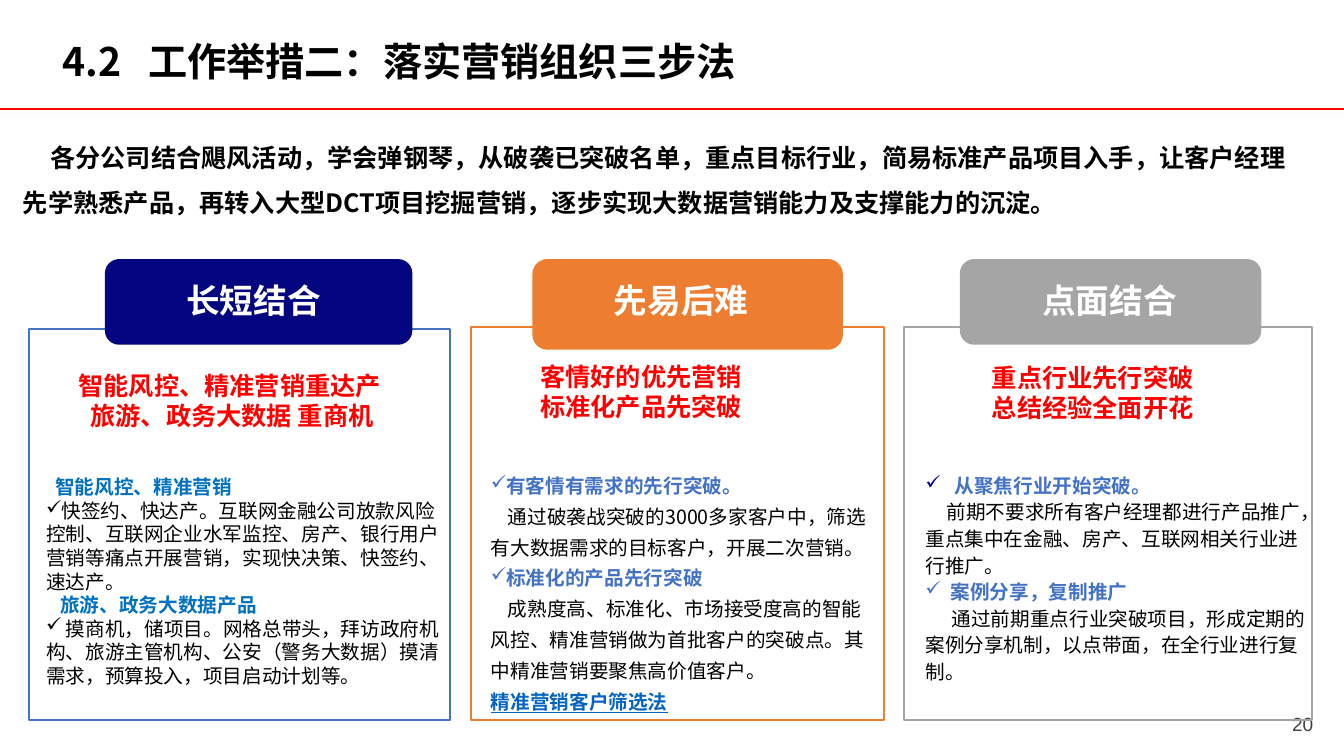
from lxml import etree
from pptx import Presentation
from pptx.dml.color import RGBColor
from pptx.enum.shapes import MSO_CONNECTOR, MSO_SHAPE
from pptx.enum.text import MSO_ANCHOR, PP_ALIGN
from pptx.oxml.ns import qn
from pptx.util import Inches, Pt

FONT = "Noto Sans CJK SC"
BLACK = RGBColor(0x00, 0x00, 0x00)
WHITE = RGBColor(0xFF, 0xFF, 0xFF)
RED = RGBColor(0xFF, 0x00, 0x00)
NAVY = RGBColor(0x03, 0x06, 0x7F)
BLUE = RGBColor(0x44, 0x72, 0xC4)
SKY = RGBColor(0x00, 0x70, 0xC0)
LINK = RGBColor(0x05, 0x63, 0xC1)
ORANGE = RGBColor(0xED, 0x7D, 0x31)
GREY = RGBColor(0xA5, 0xA5, 0xA5)
DARK = RGBColor(0x40, 0x40, 0x40)


def style(p, size, color, bold=True, font=FONT):
    for r in p.runs:
        r.font.size = Pt(size)
        r.font.bold = bold
        r.font.name = font
        r.font.color.rgb = color
        ea = etree.SubElement(r.font._element, qn("a:ea"))
        ea.set("typeface", font)


def set_indent(p, left, first):
    pPr = p._p.get_or_add_pPr()
    pPr.set("marL", str(Inches(left)))
    pPr.set("indent", str(Inches(first)))


def add_bullet(p, color):
    pPr = p._p.get_or_add_pPr()
    clr = etree.SubElement(pPr, qn("a:buClr"))
    etree.SubElement(clr, qn("a:srgbClr")).set("val", str(color))
    etree.SubElement(pPr, qn("a:buChar")).set("char", "✓")


def add_tab(p, pos):
    tabs = etree.SubElement(p._p.get_or_add_pPr(), qn("a:tabLst"))
    tab = etree.SubElement(tabs, qn("a:tab"))
    tab.set("pos", str(Inches(pos)))
    tab.set("algn", "l")


def add_text_box(slide, box, margin_top=0.08):
    tf = slide.shapes.add_textbox(*map(Inches, box)).text_frame
    tf.word_wrap = True
    tf.margin_top = Inches(margin_top)
    return tf


def paragraphs(tf, count):
    return [tf.paragraphs[0]] + [tf.add_paragraph() for _ in range(count - 1)]


def add_header(slide, box):
    left, top, width, height = box
    # Title
    sp = slide.shapes.title
    sp.left, sp.top = Inches(left + 0.52), Inches(top + 0.29)
    sp.width, sp.height = Inches(7.2), Inches(0.57)
    tf = sp.text_frame
    tf.word_wrap = True
    tf.vertical_anchor = MSO_ANCHOR.TOP
    tf.margin_top = Inches(0.08)
    tf.text = "4.2\t工作举措二：落实营销组织三步法"
    p = tf.paragraphs[0]
    p.alignment = PP_ALIGN.LEFT
    p.line_spacing = Pt(33.5)
    add_tab(p, 0.85)
    style(p, 28, BLACK)

    # Red rule with a soft shadow
    y = Inches(top + height)
    rule = slide.shapes.add_connector(
        MSO_CONNECTOR.STRAIGHT, Inches(left), y, Inches(left + width), y)
    rule.line.color.rgb = RED
    rule.line.width = Pt(1)
    effects = etree.SubElement(rule._element.spPr, qn("a:effectLst"))
    shadow = etree.SubElement(effects, qn("a:outerShdw"))
    for name, value in (("blurRad", Pt(3.1)), ("dist", Pt(1.6)), ("dir", 5400000)):
        shadow.set(name, str(value))
    clr = etree.SubElement(shadow, qn("a:srgbClr"))
    clr.set("val", str(BLACK))
    etree.SubElement(clr, qn("a:alpha")).set("val", "38000")


def add_page_number(slide, box):
    tf = add_text_box(slide, box, 0.04)
    tf.margin_left = tf.margin_right = Inches(0.08)
    tf.margin_bottom = Inches(0.04)
    tf.vertical_anchor = MSO_ANCHOR.MIDDLE
    tf.text = "20"
    tf.paragraphs[0].alignment = PP_ALIGN.CENTER
    style(tf.paragraphs[0], 13.6, DARK, False, "Arial")


def add_intro(slide, box):
    tf = add_text_box(slide, box)
    tf.text = ("各分公司结合飓风活动，学会弹钢琴，从破袭已突破名单，重点目标行业，"
               "简易标准产品项目入手，让客户经理先学熟悉产品，再转入大型DCT项目挖掘营销，"
               "逐步实现大数据营销能力及支撑能力的沉淀。")
    p = tf.paragraphs[0]
    p.line_spacing = Pt(32)
    set_indent(p, 0, 0.27)
    style(p, 18, BLACK)


def add_block(slide, kind, box):
    sp = slide.shapes.add_shape(kind, *map(Inches, box))
    sp.shadow.inherit = False
    return sp


def add_step(slide, box, step):
    """Draw one step: frame, tab, label, red slogan and body text."""
    left, top = box[:2]

    def place(part):
        dx, dy, width, height = part
        return left + dx, top + dy, width, height

    # Frame and tab
    frame = add_block(slide, MSO_SHAPE.RECTANGLE, box)
    frame.fill.background()
    frame.line.color.rgb = step["frame"]
    frame.line.width = Pt(1.5)
    tab = add_block(slide, MSO_SHAPE.ROUNDED_RECTANGLE, place(step["tab"]))
    tab.fill.solid()
    tab.fill.fore_color.rgb = step["fill"]
    tab.line.fill.background()

    # Label on the tab
    tf = add_text_box(slide, place(step["label_box"]), 0)
    tf.margin_left = tf.margin_right = tf.margin_bottom = 0
    tf.text = step["label"]
    p = tf.paragraphs[0]
    p.alignment = PP_ALIGN.CENTER
    p.line_spacing = Pt(31.7)
    style(p, 24, WHITE)

    # Slogan
    tf = add_text_box(slide, place(step["slogan_box"]))
    for p, (text, indent) in zip(paragraphs(tf, 2), step["slogan"]):
        p.text = text
        p.line_spacing = Pt(21.4)
        set_indent(p, 0, indent)
        style(p, 18, RED)

    # Body: a bullet colour marks a bulleted paragraph
    tf = add_text_box(slide, place(step["body_box"]), 0.05)
    body = step["body"]
    for i, (p, row) in enumerate(zip(paragraphs(tf, len(body)), body)):
        text, color, indent, bullet = row
        p.text = text
        p.line_spacing = Pt(step["first_pitch"] if i == 0 else step["pitch"])
        if bullet is None:
            set_indent(p, 0, indent)
        else:
            set_indent(p, indent, -indent)
            add_bullet(p, bullet)
        style(p, 14, color, color != BLACK)
        p.runs[0].font.underline = color == LINK


STEPS = [
    ((0.29, 3.26, 4.17, 3.88), dict(
        frame=BLUE, fill=NAVY, label="长短结合", tab=(0.75, -0.69, 3.05, 0.85),
        label_box=(1.18, -0.52, 2.09, 0.44), slogan_box=(0.39, 0.34, 3.54, 0.77),
        slogan=[("智能风控、精准营销重达产", 0), ("旅游、政务大数据 重商机", 0.12)],
        body_box=(0.07, 1.29, 4.1, 2.5), first_pitch=25.2, pitch=16.8,
        body=[
            ("智能风控、精准营销", SKY, 0.09, None),
            ("快签约、快达产。互联网金融公司放款风险控制、互联网企业水军监控、房产、"
             "银行用户营销等痛点开展营销，实现快决策、快签约、速达产。", BLACK, 0, BLACK),
            ("旅游、政务大数据产品", SKY, 0.14, None),
            (" 摸商机，储项目。网格总带头，拜访政府机构、旅游主管机构、公安（警务大数据）"
             "摸清需求，预算投入，项目启动计划等。", BLACK, 0, BLACK),
        ])),
    ((4.67, 3.24, 4.1, 3.9), dict(
        frame=ORANGE, fill=ORANGE, label="先易后难", tab=(0.61, -0.67, 3.08, 0.9),
        label_box=(1.13, -0.5, 1.91, 0.44), slogan_box=(0.42, 0.27, 3.54, 0.71),
        slogan=[("客情好的优先营销", 0.17), ("标准化产品先突破", 0.17)],
        body_box=(0.1, 1.34, 3.97, 2.41), first_pitch=22, pitch=22,
        body=[
            ("有客情有需求的先行突破。", BLUE, 0, BLUE),
            ("通过破袭战突破的3000多家客户中，筛选有大数据需求的目标客户，"
             "开展二次营销。", BLACK, 0.17, None),
            ("标准化的产品先行突破", BLUE, 0, BLUE),
            ("成熟度高、标准化、市场接受度高的智能风控、精准营销做为首批客户的突破点。"
             "其中精准营销要聚焦高价值客户。", BLACK, 0.17, None),
            ("精准营销客户筛选法", LINK, 0, None),
        ])),
    ((8.97, 3.24, 4.04, 3.9), dict(
        frame=GREY, fill=GREY, label="点面结合", tab=(0.55, -0.67, 2.99, 0.85),
        label_box=(0.93, -0.5, 2.21, 0.44), slogan_box=(0.77, 0.28, 2.3, 0.77),
        slogan=[("重点行业先行突破", 0), ("总结经验全面开花", 0)],
        body_box=(0.11, 1.38, 3.97, 2.2), first_pitch=19, pitch=19,
        body=[
            ("从聚焦行业开始突破。", BLUE, 0.29, NAVY),
            ("前期不要求所有客户经理都进行产品推广，重点集中在金融、房产、"
             "互联网相关行业进行推广。", BLACK, 0.21, None),
            ("案例分享，复制推广", BLUE, 0.25, BLUE),
            ("通过前期重点行业突破项目，形成定期的案例分享机制，以点带面，"
             "在全行业进行复制。", BLACK, 0.26, None),
        ])),
]


def main():
    prs = Presentation()
    prs.slide_width, prs.slide_height = Inches(13.33), Inches(7.5)
    slide = prs.slides.add_slide(prs.slide_layouts[5])
    add_header(slide, (0, 0, 13.33, 1.08))
    add_page_number(slide, (12.67, 6.97, 0.5, 0.42))
    add_intro(slide, (0.13, 1.19, 12.76, 1.01))
    for box, step in STEPS:
        add_step(slide, box, step)
    prs.save("out.pptx")


if __name__ == "__main__":
    main()
